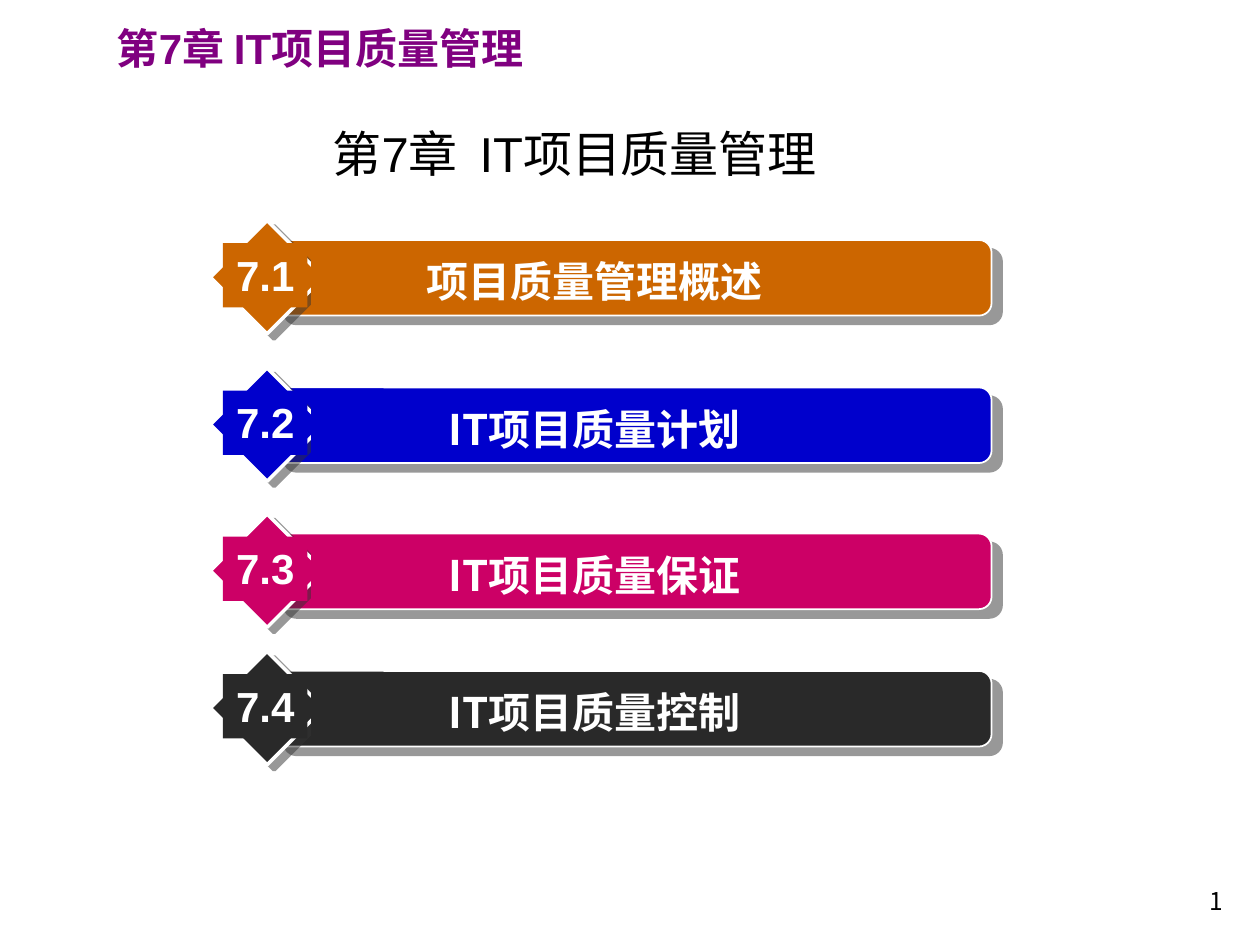
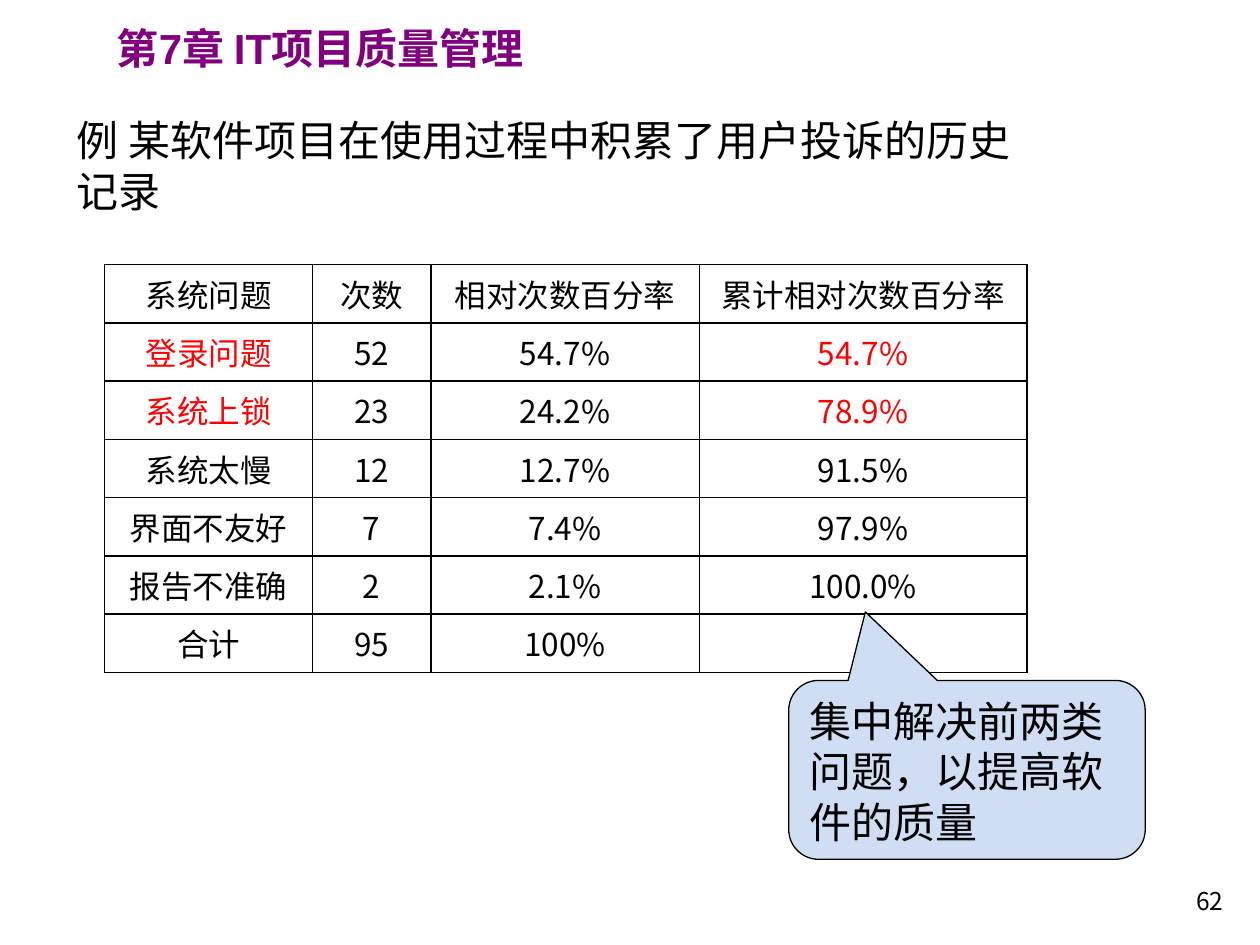
import dataclasses

import lxml.etree
import pptx
import pptx.dml.color
import pptx.enum.shapes
import pptx.enum.text
import pptx.oxml
import pptx.oxml.ns
import pptx.util

SHAPE = pptx.enum.shapes.MSO_SHAPE
ALIGN = pptx.enum.text.PP_ALIGN
ANCHOR = pptx.enum.text.MSO_ANCHOR
FIT = pptx.enum.text.MSO_AUTO_SIZE
qn = pptx.oxml.ns.qn


@dataclasses.dataclass(frozen=True)
class Theme:
    latin: str = "Arial"
    chinese: str = "Noto Sans CJK SC"
    label: str = "Noto Sans CJK JP"
    ink: str = "000000"
    paper: str = "FFFFFF"
    heading: str = "800080"
    alert: str = "FF0000"
    shadow: str = "333333"
    callout: str = "CFDEF3"
    title_size: int = 28
    text_size: int = 24
    table_size: int = 18
    number_size: int = 14
    leading: float = 1.2


THEME = Theme()
SLIDE_WIDTH = pptx.util.Inches(10)
SLIDE_HEIGHT = pptx.util.Inches(7.5)
COLUMNS, ROWS = 100, 75

CHAPTER = "第7章 IT项目质量管理"
AGENDA_TITLE = "第7章  IT项目质量管理"
SECTIONS = [
    ("7.1", "项目质量管理概述", "CC6600", 17.5),
    ("7.2", "IT项目质量计划", "0000CC", 29.2),
    ("7.3", "IT项目质量保证", "CC0066", 40.8),
    ("7.4", "IT项目质量控制", "292929", 51.7),
]
EXAMPLE_TITLE = "例 某软件项目在使用过程中积累了用户投诉的历史记录"
COMPLAINTS = [
    ("系统问题", "次数", "相对次数百分率", "累计相对次数百分率"),
    ("登录问题", "52", "54.7%", "54.7%"),
    ("系统上锁", "23", "24.2%", "78.9%"),
    ("系统太慢", "12", "12.7%", "91.5%"),
    ("界面不友好", "7", "7.4%", "97.9%"),
    ("报告不准确", "2", "2.1%", "100.0%"),
    ("合计", "95", "100%", ""),
]
COMPLAINT_WIDTHS = [16.5, 9.4, 21.3, 26]
COMPLAINT_ROW = 4.06
MAIN_ROWS = (1, 2)
MAIN_COLUMNS = (0, 3)
ADVICE = "集中解决前两类问题，以提高软件的质量"


def across(columns):
    return round(SLIDE_WIDTH * columns / COLUMNS)


def down(rows):
    return round(SLIDE_HEIGHT * rows / ROWS)


def area(left, top, width, height):
    return across(left), down(top), across(width), down(height)


def colour(code):
    return pptx.dml.color.RGBColor.from_string(code)


def write(frame, text, size=THEME.text_size, ink=THEME.ink, latin=THEME.chinese,
          chinese=None, bold=False, align=ALIGN.LEFT, anchor=ANCHOR.TOP,
          leading=THEME.leading, wrap=True, fit=FIT.NONE):
    frame.word_wrap = wrap
    frame.auto_size = fit
    frame.vertical_anchor = anchor
    para = frame.paragraphs[0]
    para.alignment = align
    if leading:
        para.line_spacing = pptx.util.Pt(size * leading)
    span = para.add_run()
    span.text = text
    span.font.size = pptx.util.Pt(size)
    span.font.bold = bold
    span.font.name = latin
    span.font.color.rgb = colour(ink)
    asian = lxml.etree.SubElement(span._r.get_or_add_rPr(), qn("a:ea"))
    asian.set("typeface", chinese or latin)


def add_block(shapes, kind, place, fill, line=None, line_width=0, shadow=None):
    block = shapes.add_shape(kind, *area(*place))
    block.fill.solid()
    block.fill.fore_color.rgb = colour(fill)
    if line:
        block.line.color.rgb = colour(line)
        block.line.width = pptx.util.Pt(line_width)
    else:
        block.line.fill.background()
    block.shadow.inherit = False
    if shadow:
        distance, angle = shadow
        effects = block.element.spPr.find(qn("a:effectLst"))
        effects.append(pptx.oxml.parse_xml(
            f'<a:outerShdw {pptx.oxml.ns.nsdecls("a")} blurRad="0" '
            f'dist="{pptx.util.Pt(distance)}" dir="{angle * 60000}" algn="ctr" rotWithShape="0">'
            f'<a:srgbClr val="{THEME.shadow}"><a:alpha val="50000"/></a:srgbClr></a:outerShdw>'))
    return block


def add_chapter_heading(deck, page):
    box = page.shapes.add_textbox(*area(8.3, 1.3, 40.2, 5))
    write(box.text_frame, CHAPTER, ink=THEME.heading, latin=THEME.latin,
          chinese=THEME.chinese, bold=True, fit=FIT.SHAPE_TO_FIT_TEXT)
    deck.slide_master.element.cSld.spTree.append(box.element)


def add_page(deck, title, place, size, number):
    page = deck.slides.add_slide(deck.slide_layouts[5])
    heading = page.shapes.title
    heading.left, heading.top, heading.width, heading.height = area(*place)
    write(heading.text_frame, title, size=size, latin=THEME.latin,
          chinese=THEME.chinese, anchor=ANCHOR.MIDDLE)
    box = page.shapes.add_textbox(*area(89.4, 69.8, 8.7, 4.7))
    write(box.text_frame, number, size=THEME.number_size, align=ALIGN.RIGHT, leading=None)
    return page


def add_section(page, number, name, fill, top):
    shapes = page.shapes.add_group_shape().shapes
    bar = add_block(shapes, SHAPE.ROUNDED_RECTANGLE, (21.7, top + 1.55, 57, 6), fill,
                    THEME.paper, 1, shadow=(7.8, 40))
    bar.adjustments[0] = 0.167
    add_block(shapes, SHAPE.DIAMOND, (16.7, top, 9, 9), fill,
              THEME.paper, 2, shadow=(5, 37))
    texts = [
        (name, (24.7, top + 2.3, 45, 5.1), THEME.label, True),
        (number, (17.7, top + 1.8, 6.7, 5.1), THEME.latin, False),
    ]
    for text, place, font, wrap in texts:
        block = add_block(shapes, SHAPE.RECTANGLE, place, fill)
        write(block.text_frame, text, ink=THEME.paper, latin=font, bold=True,
              align=ALIGN.CENTER, wrap=wrap, fit=FIT.SHAPE_TO_FIT_TEXT)


def add_borders(cell, width=1):
    properties = cell._tc.get_or_add_tcPr()
    for index, side in enumerate(("lnL", "lnR", "lnT", "lnB")):
        properties.insert(index, pptx.oxml.parse_xml(
            f'<a:{side} {pptx.oxml.ns.nsdecls("a")} w="{pptx.util.Pt(width)}">'
            f'<a:solidFill><a:srgbClr val="{THEME.ink}"/></a:solidFill></a:{side}>'))


def add_complaints(page):
    place = area(8.3, 21, sum(COMPLAINT_WIDTHS), COMPLAINT_ROW * len(COMPLAINTS))
    table = page.shapes.add_table(len(COMPLAINTS), len(COMPLAINT_WIDTHS), *place).table
    table.first_row = False
    table.horz_banding = False
    for column, width in zip(table.columns, COMPLAINT_WIDTHS):
        column.width = across(width)
    for row, texts in enumerate(COMPLAINTS):
        table.rows[row].height = down(COMPLAINT_ROW)
        for column, text in enumerate(texts):
            cell = table.cell(row, column)
            cell.fill.background()
            add_borders(cell)
            if text:
                main = row in MAIN_ROWS and column in MAIN_COLUMNS
                write(cell.text_frame, text, size=THEME.table_size, align=ALIGN.CENTER,
                      ink=THEME.alert if main else THEME.ink, leading=None)


def add_advice(page):
    callout = add_block(page.shapes, SHAPE.ROUNDED_RECTANGULAR_CALLOUT,
                        (62.6, 54, 28.3, 14.2), THEME.callout, THEME.ink, 0.75)
    for index, value in enumerate((-0.285, -0.883, 0.167)):
        callout.adjustments[index] = value
    write(callout.text_frame, ADVICE)


def main():
    deck = pptx.Presentation()
    deck.slide_width, deck.slide_height = SLIDE_WIDTH, SLIDE_HEIGHT

    agenda = add_page(deck, AGENDA_TITLE, (25.4, 9.1, 45, 6.1), THEME.title_size, "1")
    add_chapter_heading(deck, agenda)
    for section in SECTIONS:
        add_section(agenda, *section)

    example = add_page(deck, EXAMPLE_TITLE, (5.1, 8.4, 78, 9.4), THEME.text_size, "62")
    add_complaints(example)
    add_advice(example)

    deck.save("out.pptx")


if __name__ == "__main__":
    main()
